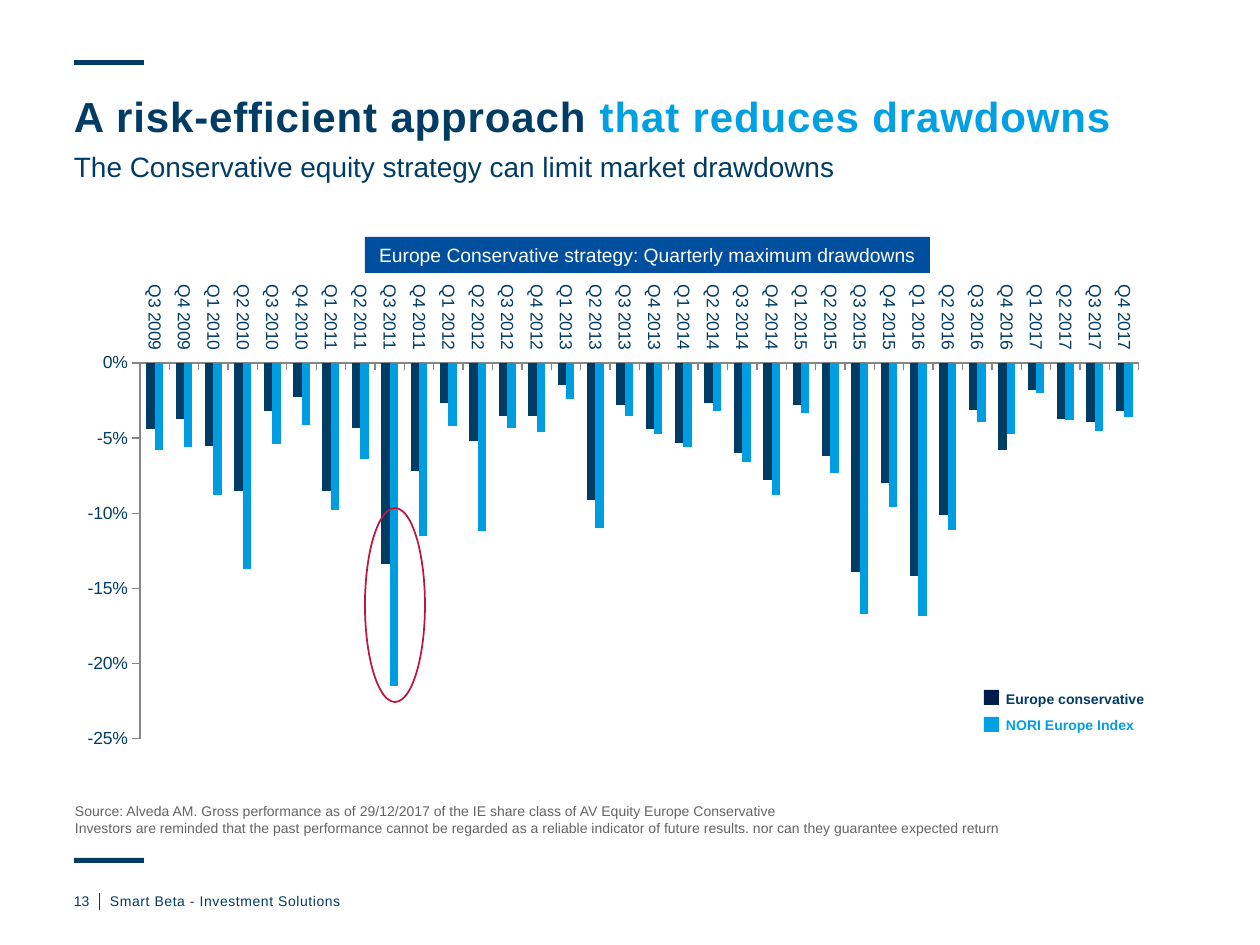
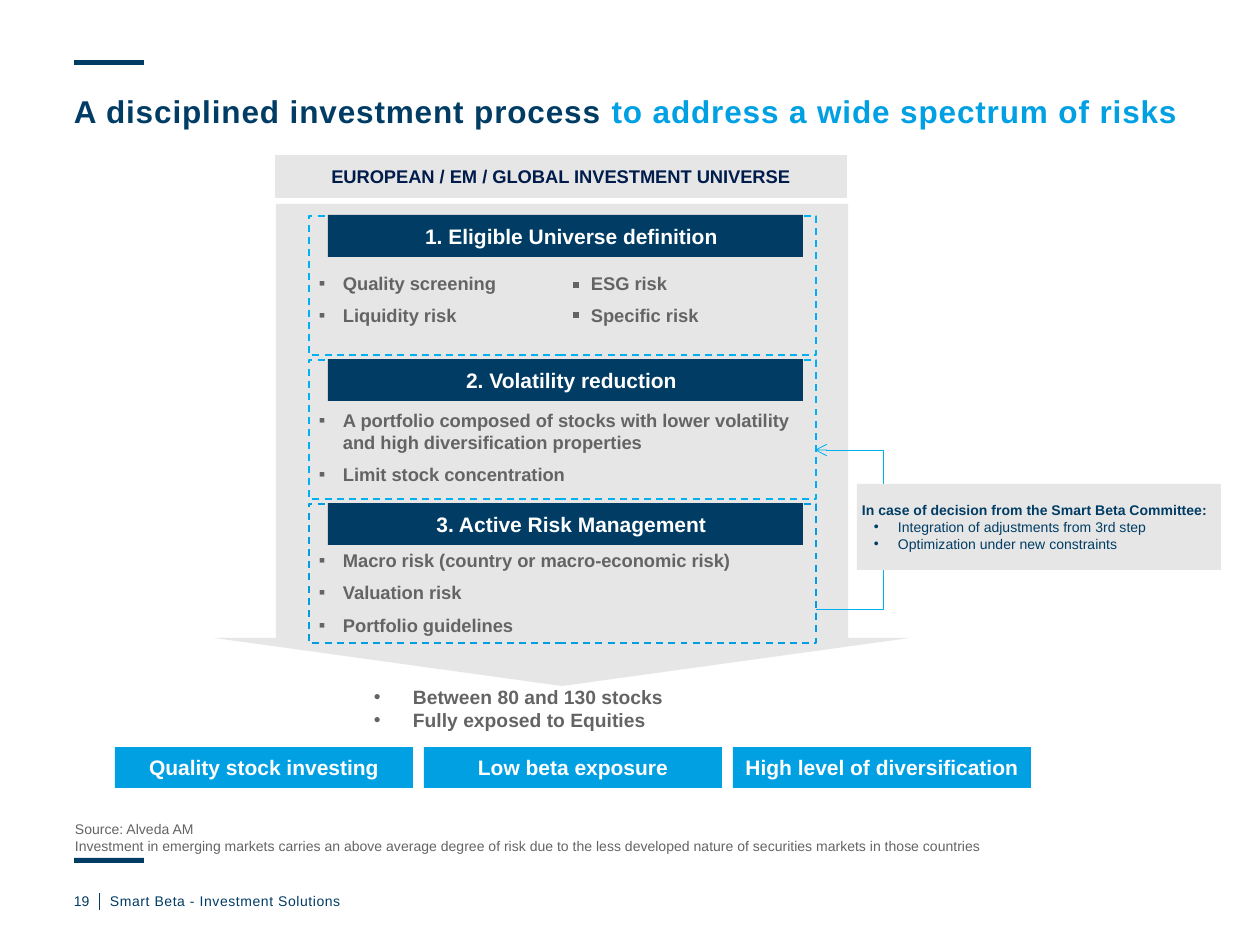
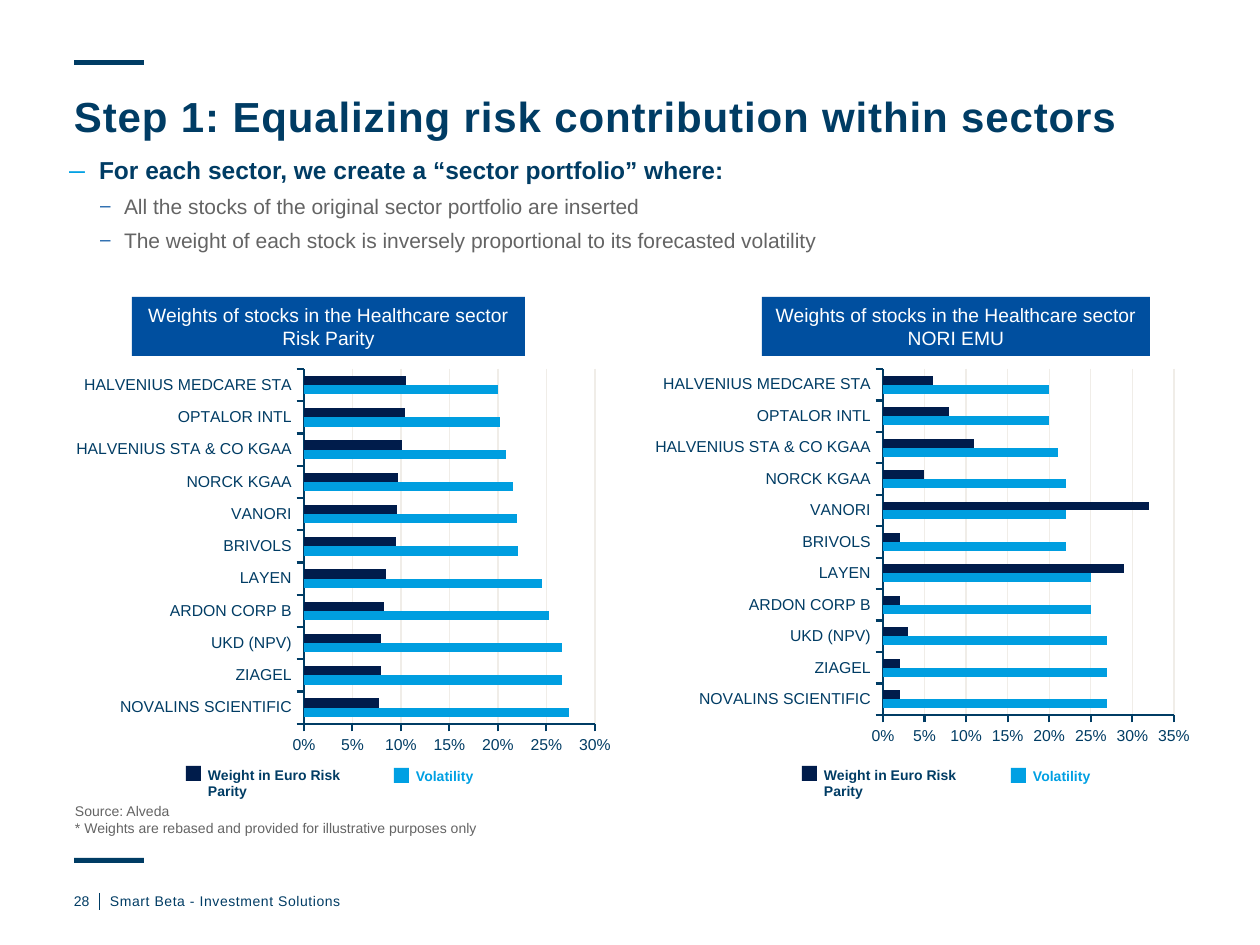
from dataclasses import dataclass

import lxml.etree
import pptx
import pptx.chart.data
import pptx.dml.color
import pptx.enum.chart
import pptx.enum.dml
import pptx.enum.shapes
import pptx.enum.text
import pptx.oxml
import pptx.oxml.ns
import pptx.util

ALIGN = pptx.enum.text.PP_ALIGN
ANCHOR = pptx.enum.text.MSO_ANCHOR
SHAPE = pptx.enum.shapes.MSO_SHAPE
CHART = pptx.enum.chart.XL_CHART_TYPE
LABELS = pptx.enum.chart.XL_TICK_LABEL_POSITION
qn = pptx.oxml.ns.qn


@dataclass(frozen=True)
class Theme:
    font: str = "Arial"
    navy: str = "003C64"
    midnight: str = "001C4B"
    blue: str = "004F9F"
    sky: str = "00A0E3"
    bar: str = "009EE0"
    dash: str = "00B0F0"
    panel: str = "E7E6E6"
    grey: str = "646464"
    axis: str = "868686"
    grid: str = "F0EDE8"
    red: str = "BB173F"
    white: str = "FFFFFF"
    title: float = 24
    title_small: float = 18
    subtitle: float = 16
    lead: float = 14
    box: float = 12
    banner: float = 11
    body: float = 10.5
    axis_large: float = 10
    axis_small: float = 9
    small: float = 8


THEME = Theme()


@dataclass(frozen=True)
class Style:
    size: float
    color: str
    bold: bool = False
    spacing: float = 0


@dataclass(frozen=True)
class Paragraph:
    runs: tuple
    align: object = ALIGN.LEFT
    bullet: str = ""
    bullet_color: str = ""
    bullet_percent: int = 100
    left: int = 0
    hang: int = 0
    before: float = 0
    line_spacing: float = 1.0
    level: int = 0
    tab: int = 0


NOTE = Style(THEME.small, THEME.grey)
FOOTER = Style(THEME.small, THEME.navy)
BANNER = Style(THEME.banner, THEME.white)
BOX = Style(THEME.box, THEME.white, True)
BODY = Style(THEME.body, THEME.grey, True)


def px(length):
    return pptx.util.Emu(round(length * 914400 / 126))


def rgb(color):
    return pptx.dml.color.RGBColor.from_string(color)


# Text
def set_font(font, size, color, bold=False):
    font.name = THEME.font
    font.size = pptx.util.Pt(size)
    font.bold = bold
    font.color.rgb = rgb(color)


def add_run(paragraph, text, style):
    for number, line in enumerate(text.split("\n")):
        if number:
            paragraph.add_line_break()
        run = paragraph.add_run()
        run.text = line
        set_font(run.font, style.size, style.color, style.bold)
        if style.spacing:
            run.font._element.set("spc", str(round(style.spacing * 100)))


def add_child(parent, tag, **attributes):
    child = lxml.etree.SubElement(parent, qn(tag))
    for name, value in attributes.items():
        child.set(name, str(value))
    return child


def format_paragraph(paragraph, item):
    properties = paragraph._p.get_or_add_pPr()
    properties.set("marL", str(px(item.left)))
    properties.set("indent", str(-px(item.hang)))
    if item.bullet:
        if item.bullet_color:
            color = add_child(properties, "a:buClr")
            add_child(color, "a:srgbClr", val=item.bullet_color)
        add_child(properties, "a:buSzPct", val=item.bullet_percent * 1000)
        add_child(properties, "a:buFont", typeface=THEME.font)
        add_child(properties, "a:buChar", char=item.bullet)
    if item.tab:
        tabs = add_child(properties, "a:tabLst")
        add_child(tabs, "a:tab", pos=px(item.tab), algn="l")
    paragraph.level = item.level
    paragraph.alignment = item.align
    paragraph.line_spacing = item.line_spacing
    paragraph.space_before = pptx.util.Pt(item.before)


def write(shape, paragraphs, insets=(13, 6, 13, 6), anchor=ANCHOR.TOP, wrap=True):
    frame = shape.text_frame
    frame.word_wrap = wrap
    frame.vertical_anchor = anchor
    frame.margin_left, frame.margin_top, frame.margin_right, frame.margin_bottom = map(px, insets)
    for number, item in enumerate(paragraphs):
        paragraph = frame.add_paragraph() if number else frame.paragraphs[0]
        format_paragraph(paragraph, item)
        for text, style in item.runs:
            add_run(paragraph, text, style)


def add_text(slide, box, paragraphs, insets=(0, 0, 0, 0), anchor=ANCHOR.TOP):
    write(slide.shapes.add_textbox(*map(px, box)), paragraphs, insets, anchor)


def line_of(text, style, **options):
    return Paragraph(((text, style),), **options)


def bullet_list(texts, style, before, **options):
    return [line_of(text, style, before=before if number else 0, **options)
            for number, text in enumerate(texts)]


# Shapes and lines
def add_shape(slide, box, fill=None, line=None, kind=SHAPE.RECTANGLE):
    shape = slide.shapes.add_shape(kind, *map(px, box))
    shape.shadow.inherit = False
    if fill:
        shape.fill.solid()
        shape.fill.fore_color.rgb = rgb(fill)
    else:
        shape.fill.background()
    if line:
        shape.line.color.rgb = rgb(line)
        shape.line.width = pptx.util.Pt(1)
    else:
        shape.line.fill.background()
    return shape


def add_label_box(slide, box, text, style, fill, insets=(13, 6, 13, 6), wrap=True):
    shape = add_shape(slide, box, fill)
    write(shape, [line_of(text, style, align=ALIGN.CENTER)], insets, ANCHOR.MIDDLE, wrap)


def add_line(slide, start, end, color, kind=pptx.enum.shapes.MSO_CONNECTOR.STRAIGHT):
    connector = slide.shapes.add_connector(kind, *map(px, start + end))
    connector.line.color.rgb = rgb(color)
    connector.line.width = pptx.util.Pt(0.5)
    add_child(connector.element.spPr, "a:effectLst")
    return connector


def add_feedback_arrow(slide, start, end, turn):
    connector = add_line(slide, start, end, THEME.dash, pptx.enum.shapes.MSO_CONNECTOR.ELBOW)
    bend = round((turn - start[0]) / (end[0] - start[0]) * 100000)
    adjustments = connector.element.xpath("p:spPr/a:prstGeom/a:avLst")[0]
    add_child(adjustments, "a:gd", name="adj1", fmla=f"val {bend}")
    add_child(connector.element.xpath("p:spPr/a:ln")[0], "a:headEnd", type="arrow")


def add_legend_entry(slide, left, top, swatch, label, color, width=200):
    add_text(slide, (left + 9, top - 6, width, 30),
             [line_of(label, Style(THEME.small, color, True))], (13, 6, 13, 6))
    add_shape(slide, (left, top, 15, 15), swatch)


# Charts
def style_axis(axis, size, color, width):
    set_font(axis.tick_labels.font, size, THEME.navy)
    axis.format.line.color.rgb = rgb(color)
    axis.format.line.width = pptx.util.Pt(width)
    axis.major_tick_mark = pptx.enum.chart.XL_TICK_MARK.OUTSIDE
    axis.minor_tick_mark = pptx.enum.chart.XL_TICK_MARK.NONE


def set_plot_area(chart, frame, plot):
    left, top, width, height = frame
    fractions = {"x": (plot[0] - left) / width, "y": (plot[1] - top) / height,
                 "w": plot[2] / width, "h": plot[3] / height}
    values = "".join(f'<c:{key} val="{value:.4f}"/>' for key, value in fractions.items())
    layout = pptx.oxml.parse_xml(
        f'<c:layout {pptx.oxml.ns.nsdecls("c")}><c:manualLayout><c:layoutTarget val="inner"/>'
        f'<c:xMode val="edge"/><c:yMode val="edge"/>{values}</c:manualLayout></c:layout>')
    area = chart.element.xpath("c:chart/c:plotArea")[0]
    for old in area.findall(qn("c:layout")):
        area.remove(old)
    area.insert(0, layout)


def add_bar_chart(slide, kind, frame, plot, categories, series, limits, size, axis_line, grid, labels):
    data = pptx.chart.data.CategoryChartData(number_format="0%")
    data.categories = categories
    for name, values, _ in series:
        data.add_series(name, values)
    chart = slide.shapes.add_chart(kind, *map(px, frame), data).chart
    chart.has_legend = False
    chart.has_title = False
    set_font(chart.font, THEME.axis_large, THEME.navy)
    bars = chart.plots[0]
    bars.gap_width = 150
    bars.overlap = 0
    bars.vary_by_categories = False
    for item, (_, _, color) in zip(bars.series, series):
        item.invert_if_negative = False
        item.format.fill.solid()
        item.format.fill.fore_color.rgb = rgb(color)
    for axis in (chart.category_axis, chart.value_axis):
        style_axis(axis, size, *axis_line)
    chart.category_axis.tick_label_position = labels
    values = chart.value_axis
    values.minimum_scale, values.maximum_scale = limits
    values.major_unit = 0.05
    values.tick_labels.number_format = "0%"
    values.tick_labels.number_format_is_linked = False
    values.has_major_gridlines = True
    values.major_gridlines.format.line.color.rgb = rgb(grid)
    values.major_gridlines.format.line.width = pptx.util.Pt(0.75)
    set_plot_area(chart, frame, plot)
    return chart


# Shared frame of every slide
def start_slide(presentation, number, title, size, note, note_top):
    slide = presentation.slides.add_slide(presentation.slide_layouts[6])
    for top in (60, 858):
        add_shape(slide, (74, top, 70, 5), THEME.navy)
    add_line(slide, (99, 893), (99, 910), THEME.navy)
    add_text(slide, (74, 893, 25, 25), [line_of(str(number), FOOTER)])
    add_text(slide, (110, 893, 718, 25), [line_of(
        "Smart Beta - Investment Solutions", Style(THEME.small, THEME.navy, spacing=0.3))])
    runs = tuple((text, Style(size, color, True, 0.5))
                 for text, color in zip(title, (THEME.navy, THEME.sky)))
    add_text(slide, (74, 96, 1111, 53), [Paragraph(runs, line_spacing=0.9)])
    add_text(slide, (74, note_top, 1111, 84), [line_of(note, NOTE, left=1)], anchor=ANCHOR.BOTTOM)
    return slide


# Slide: drawdowns
def build_drawdowns(presentation):
    slide = start_slide(
        presentation, 13, ("A risk-efficient approach ", "that reduces drawdowns"), THEME.title,
        "Source: Alveda AM. Gross performance as of 29/12/2017 of the IE share class of AV Equity Europe "
        "Conservative\nInvestors are reminded that the past performance cannot be regarded as a reliable "
        "indicator of future results. nor can they guarantee expected return", 752)
    add_text(slide, (74, 150, 1111, 42), [line_of(
        "The Conservative equity strategy can limit market drawdowns", Style(THEME.subtitle, THEME.navy))])
    quarters = [f"Q{index % 4 + 1} {2009 + index // 4}" for index in range(2, 36)]
    conservative = [
        -0.044, -0.037, -0.055, -0.085, -0.032, -0.023, -0.085, -0.043, -0.134, -0.072, -0.027, -0.052,
        -0.035, -0.035, -0.015, -0.091, -0.028, -0.044, -0.053, -0.027, -0.06, -0.078, -0.028, -0.062,
        -0.139, -0.08, -0.142, -0.101, -0.031, -0.058, -0.018, -0.037, -0.039, -0.032]
    index_values = [
        -0.058, -0.056, -0.088, -0.137, -0.054, -0.041, -0.098, -0.064, -0.215, -0.115, -0.042, -0.112,
        -0.043, -0.046, -0.024, -0.11, -0.035, -0.047, -0.056, -0.032, -0.066, -0.088, -0.033, -0.073,
        -0.167, -0.096, -0.168, -0.111, -0.039, -0.047, -0.02, -0.038, -0.045, -0.036]
    chart = add_bar_chart(
        slide, CHART.COLUMN_CLUSTERED, (82, 217, 1104, 581), (140, 363, 999, 376), quarters,
        [("Europe conservative", conservative, THEME.navy), ("NORI Europe Index", index_values, THEME.bar)],
        (-0.25, 0), THEME.axis_large, (THEME.axis, 0.75), THEME.white, LABELS.HIGH)
    label_body = chart.element.xpath("c:chart/c:plotArea/c:catAx/c:txPr/a:bodyPr")[0]
    label_body.set("rot", "5400000")
    label_body.set("vert", "horz")
    add_label_box(slide, (365, 237, 565, 36), "Europe Conservative strategy: Quarterly maximum drawdowns",
                  BANNER, THEME.blue, wrap=False)
    add_legend_entry(slide, 984, 690, THEME.midnight, "Europe conservative", THEME.navy)
    add_legend_entry(slide, 984, 717, THEME.sky, "NORI Europe Index", THEME.sky)
    add_shape(slide, (365, 508, 60, 194), line=THEME.red, kind=SHAPE.OVAL)


# Slide: investment process
def add_step(slide, top, heading, texts, body_top, border):
    frame = add_shape(slide, (309, top, 507, 139), line=border)
    frame.line.dash_style = pptx.enum.dml.MSO_LINE.DASH
    add_label_box(slide, (328, top - 1, 475, 42), heading, BOX, THEME.navy, (14, 8, 2, 8))
    add_text(slide, (309, body_top, 507, 100),
             bullet_list(texts, BODY, 6, bullet="▪", left=24, hang=24, tab=272), (10, 10, 10, 10))


def build_process(presentation):
    slide = start_slide(
        presentation, 19, ("A disciplined investment process ", "to address a wide spectrum of risks"),
        THEME.title_small,
        "Source: Alveda AM\nInvestment in emerging markets carries an above average degree of risk due to "
        "the less developed nature of securities markets in those countries", 770)
    arrow = add_shape(slide, (213, 204, 698, 482), THEME.panel, kind=SHAPE.DOWN_ARROW)
    arrow.adjustments[0], arrow.adjustments[1] = 0.82, 0.1
    add_label_box(slide, (275, 155, 572, 43), "EUROPEAN / EM / GLOBAL INVESTMENT UNIVERSE",
                  Style(THEME.body, THEME.midnight, True), THEME.panel)
    steps = [
        ("1. Eligible Universe definition", ("Quality screening\tESG risk", "Liquidity risk\tSpecific risk"),
         262, THEME.dash),
        ("2. Volatility reduction",
         ("A portfolio composed of stocks with lower volatility and high diversification properties",
          "Limit stock concentration"), 399, THEME.dash),
        ("3. Active Risk Management",
         ("Macro risk (country or macro-economic risk)", "Valuation risk", "Portfolio guidelines"),
         539, THEME.bar)]
    for number, step in enumerate(steps):
        add_step(slide, 216 + 144 * number, *step)
    for top in (282, 312):
        add_shape(slide, (573, top, 6, 6), THEME.grey)
    add_text(slide, (372, 679, 481, 66), bullet_list(
        ("Between 80 and 130 stocks", "Fully exposed to Equities"), Style(THEME.banner, THEME.grey, True),
        0, bullet="•", left=39, hang=39), (2, 6, 2, 6))
    outcomes = ("Quality stock investing", "Low beta exposure", "High level of diversification")
    for number, outcome in enumerate(outcomes):
        add_label_box(slide, (115 + 309 * number, 747, 298, 41), outcome, BOX, THEME.sky, (5, 6, 5, 6))

    # Committee feedback loop
    add_feedback_arrow(slide, (815, 450), (816, 609), 884)
    committee = add_shape(slide, (857, 484, 364, 86), THEME.panel)
    write(committee, [
        line_of("In case of decision from the Smart Beta Committee:",
                Style(THEME.small, THEME.navy, True), align=ALIGN.JUSTIFY),
        *bullet_list(("Integration of adjustments from 3rd step", "Optimization under new constraints"),
                     FOOTER, 0, bullet="•", left=36, hang=24, align=ALIGN.JUSTIFY)],
        (5, 6, 5, 6), ANCHOR.MIDDLE)


# Slide: sector weights
def build_sector_weights(presentation):
    slide = start_slide(
        presentation, 28, ("Step 1: Equalizing risk contribution within sectors",), THEME.title,
        "Source: Alveda\n* Weights are rebased and provided for illustrative purposes only", 752)
    add_text(slide, (69, 155, 1166, 123), [
        line_of("For each sector, we create a “sector portfolio” where:",
                Style(THEME.lead, THEME.navy, True), align=ALIGN.JUSTIFY, bullet="⎯",
                bullet_color=THEME.sky, bullet_percent=130, left=30, hang=30),
        *[line_of(text, Style(THEME.box, THEME.grey), align=ALIGN.JUSTIFY, bullet="⎯",
                  bullet_color=THEME.blue, left=55, hang=24, before=5, level=1)
          for text in ("All the stocks of the original sector portfolio are inserted",
                       "The weight of each stock is inversely proportional to its forecasted volatility")]])
    stocks = ["NOVALINS SCIENTIFIC", "ZIAGEL", "UKD (NPV)", "ARDON CORP B", "LAYEN", "BRIVOLS", "VANORI",
              "NORCK KGAA", "HALVENIUS STA & CO KGAA", "OPTALOR INTL", "HALVENIUS MEDCARE STA"]
    panels = [
        ("Risk Parity", (132, 393), (68, 360, 543, 431), (304, 369, 291, 355), 0.30, (186, 394),
         [0.273, 0.266, 0.266, 0.253, 0.245, 0.221, 0.22, 0.216, 0.208, 0.202, 0.2],
         [0.077, 0.079, 0.079, 0.083, 0.085, 0.095, 0.096, 0.097, 0.101, 0.104, 0.105]),
        ("NORI EMU", (762, 388), (648, 360, 543, 421), (883, 369, 291, 346), 0.35, (802, 1011),
         [0.27, 0.27, 0.27, 0.25, 0.25, 0.22, 0.22, 0.22, 0.21, 0.2, 0.2],
         [0.02, 0.02, 0.03, 0.02, 0.29, 0.02, 0.32, 0.05, 0.11, 0.08, 0.06])]
    for portfolio, (left, width), frame, plot, maximum, legend, volatility, weights in panels:
        add_bar_chart(slide, CHART.BAR_CLUSTERED, frame, plot, stocks,
                      [("Volatility", volatility, THEME.bar), ("Weight", weights, THEME.midnight)],
                      (0, maximum), THEME.axis_small, (THEME.navy, 1.25), THEME.grid, LABELS.LOW)
        add_label_box(slide, (left, 297, width, 59), f"Weights of stocks in the Healthcare sector\n{portfolio}",
                      BANNER, THEME.blue, wrap=False)
        add_legend_entry(slide, legend[0], 766, THEME.midnight, "Weight in Euro Risk Parity", THEME.navy)
        add_legend_entry(slide, legend[1], 768, THEME.sky, "Volatility", THEME.sky, 90)


def main():
    presentation = pptx.Presentation()
    presentation.slide_width, presentation.slide_height = px(1260), px(945)
    build_drawdowns(presentation)
    build_process(presentation)
    build_sector_weights(presentation)
    presentation.save("out.pptx")


if __name__ == "__main__":
    main()
